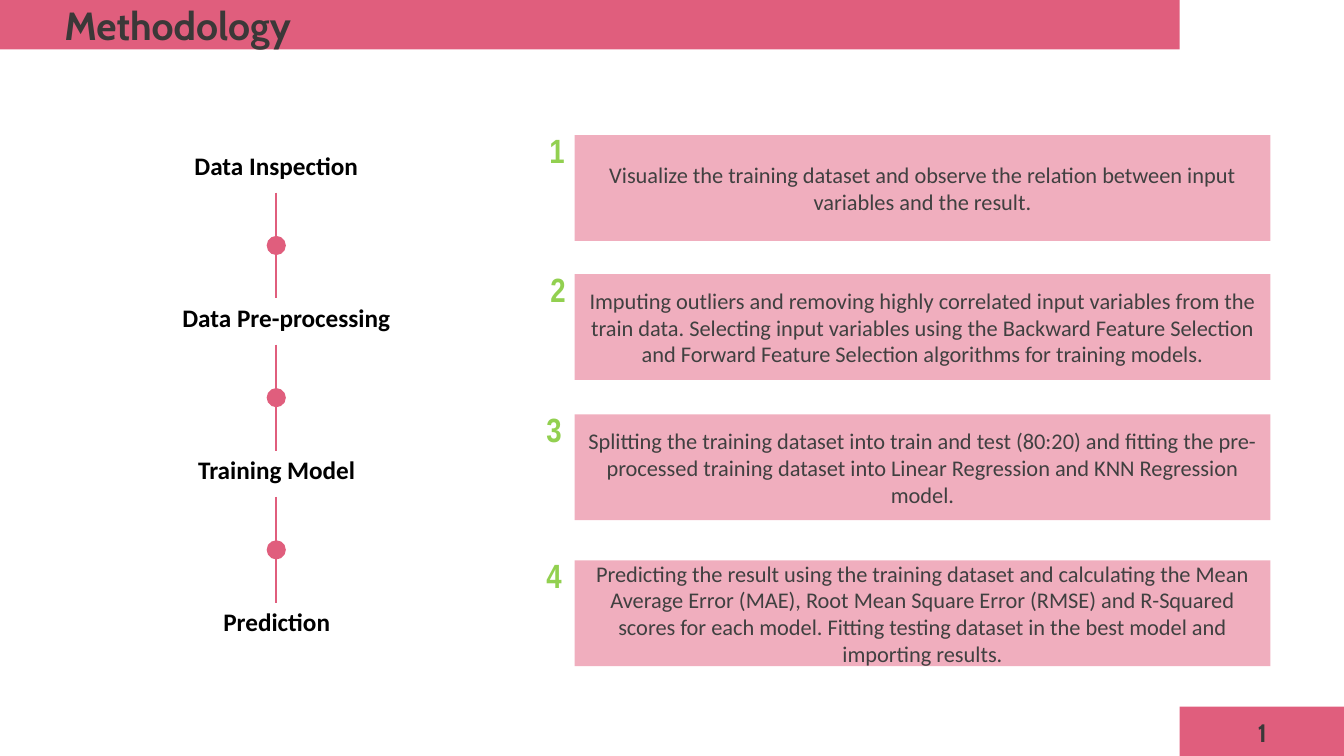
from pptx import Presentation
from pptx.dml.color import RGBColor
from pptx.enum.shapes import MSO_CONNECTOR as Connector, MSO_SHAPE as Preset
from pptx.enum.text import MSO_ANCHOR as Anchor, PP_ALIGN as Align
from pptx.oxml.ns import qn
from pptx.util import Inches, Pt
from lxml.etree import SubElement

# Grid: 133.3 columns by 75 rows, square cells
CELL = Inches(0.1)
COLUMNS, ROWS = 133.3, 75

COLORS = {
    "rose": "E05E7D",
    "blush": "F0AEBE",
    "charcoal": "3B3838",
    "gray": "404040",
    "black": "000000",
    "green": "92D050",
}

# Text formats: font attributes plus a color name
FORMATS = {
    "title": ({"name": "Cabin", "size": Pt(28), "bold": True}, "charcoal"),
    "page": ({"name": "Cabin", "size": Pt(18), "bold": True}, "charcoal"),
    "stage": ({"name": "Calibri", "size": Pt(18), "bold": True}, "black"),
    "detail": ({"name": "Calibri", "size": Pt(16), "bold": False}, "gray"),
    "number": ({"name": "Arial Narrow", "size": Pt(24), "bold": True}, "green"),
}

# Stage labels: text, left column, width in columns
STAGES = [
    ("Data Inspection", 18.2, 18.4),
    ("Data Pre-processing", 17, 22.8),
    ("Training Model", 18.6, 17.7),
    ("Prediction", 21.1, 12.7),
]
STAGE_TOP, STAGE_STEP = 14.4, 15.1
LINK_COLUMN, LINK_TOP, LINK_LENGTH = 27.4, 19.1, 10.5
DOT_SIZE = 1.9

# Detail panels: top row, column of the number, text
DETAILS = [
    (13.4, 53.5, "Visualize the training dataset and observe the relation between "
     "input variables and the result."),
    (27.2, 53.6, "Imputing outliers and removing highly correlated input variables "
     "from the train data. Selecting input variables using the Backward Feature "
     "Selection and Forward Feature Selection algorithms for training models."),
    (41.1, 53.2, "Splitting the training dataset into train and test (80:20) and "
     "fitting the pre-processed training dataset into Linear Regression and KNN "
     "Regression model."),
    (55.6, 53.2, "Predicting the result using the training dataset and calculating "
     "the Mean Average Error (MAE), Root Mean Square Error (RMSE) and R-Squared "
     "scores for each model. Fitting testing dataset in the best model and "
     "importing results."),
]
PANEL_LEFT, PANEL_WIDTH, PANEL_HEIGHT = 57, 69, 10.5


def cells(*counts):
    return [round(count * CELL) for count in counts]


def color(name):
    return RGBColor.from_string(COLORS[name])


def write(shape, text, style, align=Align.LEFT):
    paragraph = shape.text_frame.paragraphs[0]
    paragraph.alignment = align
    run = paragraph.add_run()
    run.text = text
    attributes, color_name = FORMATS[style]
    for attribute, value in attributes.items():
        setattr(run.font, attribute, value)
    run.font.color.rgb = color(color_name)


def add_block(slide, preset, box, fill):
    shape = slide.shapes.add_shape(preset, *cells(*box))
    shape.shadow.inherit = False
    shape.fill.solid()
    shape.fill.fore_color.rgb = color(fill)
    shape.line.fill.background()
    return shape


def add_label(slide, box, text, style, align=Align.LEFT):
    label = slide.shapes.add_textbox(*cells(*box))
    label.text_frame.word_wrap = False
    write(label, text, style, align)


def add_panel(slide, box, text):
    panel = add_block(slide, Preset.RECTANGLE, box, "blush")
    panel.text_frame.word_wrap = True
    panel.text_frame.vertical_anchor = Anchor.MIDDLE
    write(panel, text, "detail", Align.CENTER)


def add_link(slide, column, top):
    middle = top + LINK_LENGTH / 2
    line = slide.shapes.add_connector(
        Connector.STRAIGHT, *cells(column, top, column, top + LINK_LENGTH))
    line.line.color.rgb = color("rose")
    line.line.width = Pt(1.5)
    SubElement(line._element.spPr, qn("a:effectLst"))
    corner = column - DOT_SIZE / 2, middle - DOT_SIZE / 2
    add_block(slide, Preset.OVAL, (*corner, DOT_SIZE, DOT_SIZE), "rose")


def main():
    presentation = Presentation()
    presentation.slide_width, presentation.slide_height = cells(COLUMNS, ROWS)
    slide = presentation.slides.add_slide(presentation.slide_layouts[6])

    # Title band and page number band
    add_block(slide, Preset.RECTANGLE, (0, 0, 117, 4.9), "rose")
    add_block(slide, Preset.RECTANGLE, (117, 70.1, 16.3, 4.9), "rose")
    add_label(slide, (5.4, -0.4, 28.7, 5.7), "Methodology", "title")
    add_label(slide, (123.5, 70.7, 3.4, 4), "1", "page", Align.CENTER)

    # Stages, with a dotted link between neighbors
    for index, (text, left, width) in enumerate(STAGES):
        offset = index * STAGE_STEP
        add_label(slide, (left, STAGE_TOP + offset, width, 4), text, "stage",
                  Align.CENTER)
        if index < len(STAGES) - 1:
            add_link(slide, LINK_COLUMN, LINK_TOP + offset)

    # Numbered details
    for number, (top, left, text) in enumerate(DETAILS, start=1):
        add_panel(slide, (PANEL_LEFT, top, PANEL_WIDTH, PANEL_HEIGHT), text)
        add_label(slide, (left, top - 1, 3.4, 5), str(number), "number")

    presentation.save("out.pptx")


if __name__ == "__main__":
    main()
